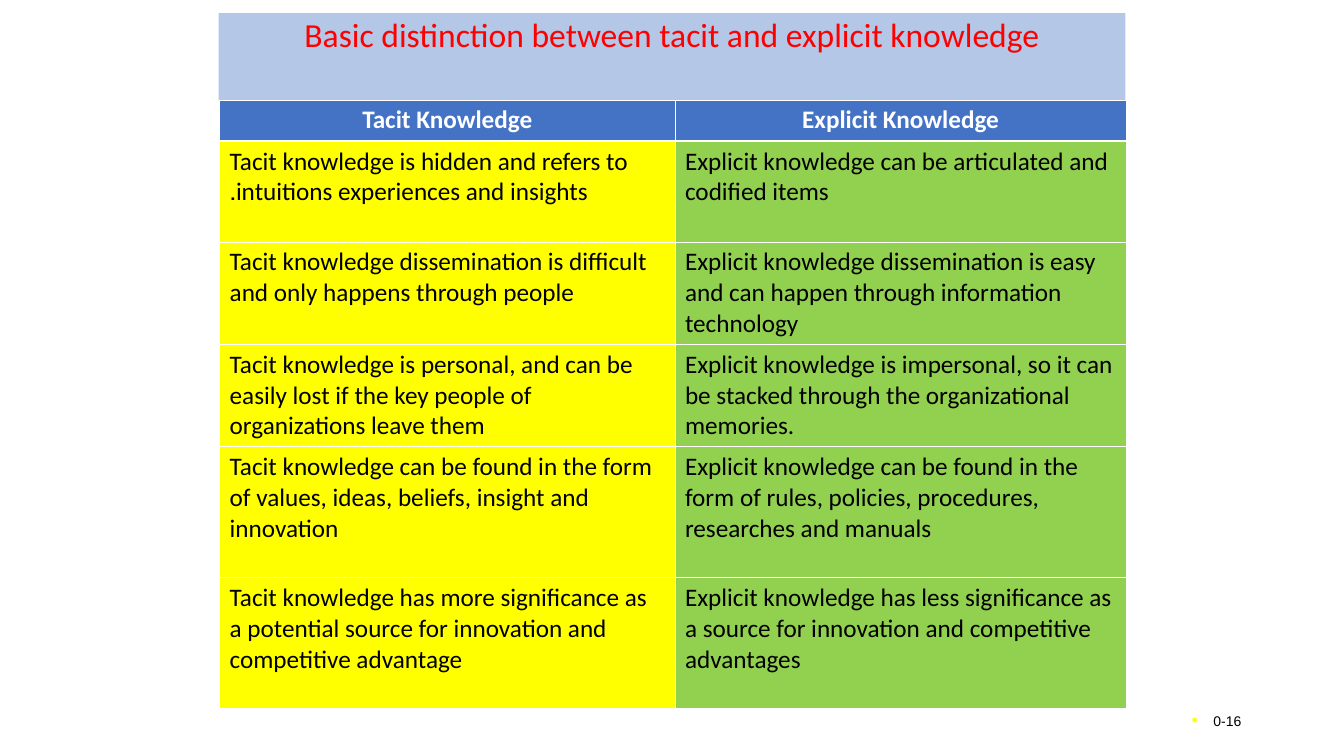
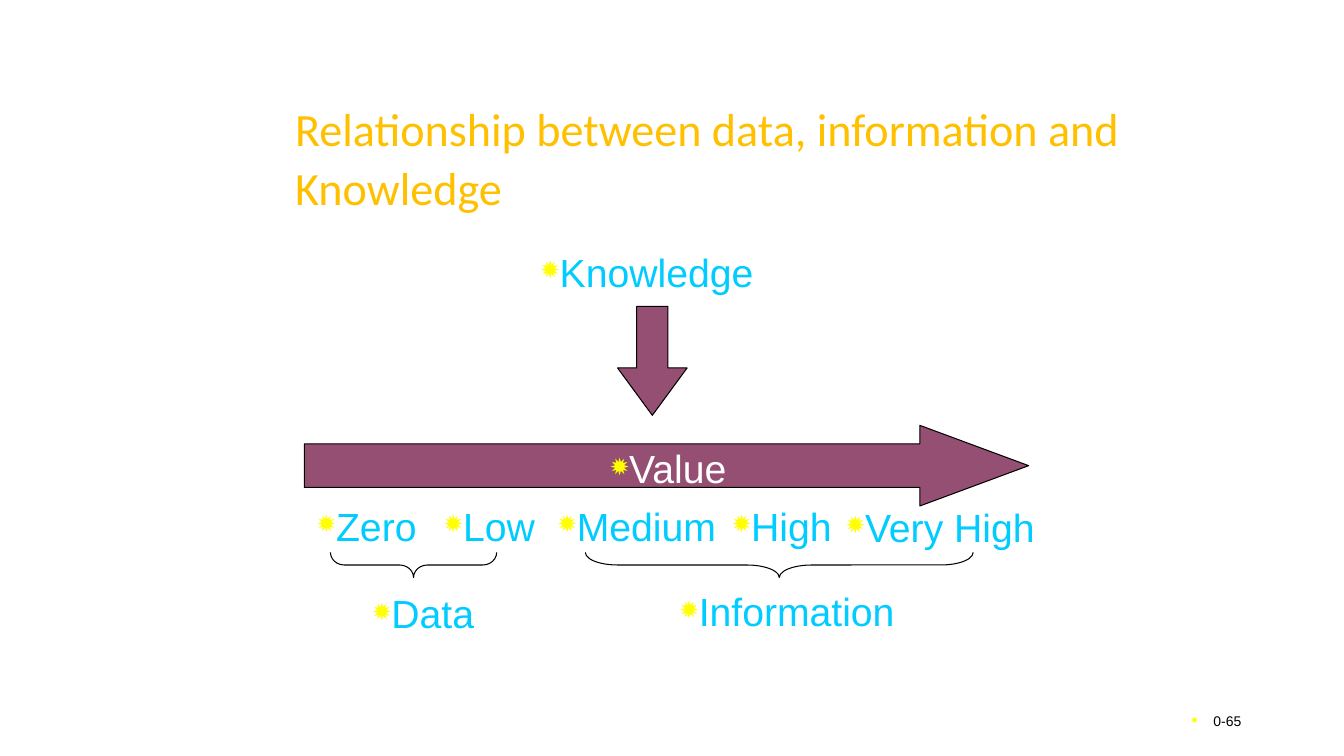
from lxml.etree import SubElement
from pptx import Presentation
from pptx.dml.color import RGBColor
from pptx.enum.shapes import MSO_SHAPE
from pptx.enum.text import MSO_ANCHOR, MSO_AUTO_SIZE, PP_ALIGN
from pptx.oxml.ns import qn
from pptx.util import Emu, Pt

EMU_PER_PX = 9144
COLORS = {
    "black": "000000", "white": "FFFFFF", "red": "FF0000", "gold": "FFC000",
    "band": "B4C7E7", "header": "4472C4", "tacit": "FFFF00", "explicit": "92D050",
    "bullet": "FFFF00", "label": "00CCFF", "arrow": "954F72",
}
FONTS = {
    "band title": {"name": "Calibri", "size": Pt(24), "color": "red"},
    "plain title": {"name": "Calibri", "size": Pt(33), "color": "gold"},
    "header": {"name": "Calibri", "size": Pt(18), "bold": True, "color": "white"},
    "cell": {"name": "Calibri", "size": Pt(18), "bold": False, "color": "black"},
    "footer": {"name": "Arial", "size": Pt(10), "color": "black"},
    "label": {"name": "Arial", "size": Pt(28), "color": "label"},
    "value": {"name": "Arial", "size": Pt(28), "color": "white"},
}
THIN_BORDER, HEADER_BORDER = 0.45, 1.47

KNOWLEDGE_TYPES = ("Tacit Knowledge", "Explicit Knowledge")
DISTINCTIONS = (
    ("Tacit knowledge is hidden and refers to intuitions experiences and insights.",
     "Explicit knowledge can be articulated and codified items"),
    ("Tacit knowledge dissemination is difficult and only happens through people",
     "Explicit knowledge dissemination is easy and can happen through information technology"),
    ("Tacit knowledge is personal, and can be easily lost if the key people of organizations leave them",
     "Explicit knowledge is impersonal, so it can be stacked through the organizational memories."),
    ("Tacit knowledge can be found in the form of values, ideas, beliefs, insight and innovation",
     "Explicit knowledge can be found in the form of rules, policies, procedures, researches and manuals"),
    ("Tacit knowledge has more significance as a potential source for innovation and competitive advantage",
     "Explicit knowledge has less significance as a source for innovation and competitive advantages"),
)
DIAGRAM_LABELS = (
    ("Knowledge", "label", (527, 241, 240, 57)),
    ("Value", "value", (596, 436, 147, 57)),
    ("Zero", "label", (305, 493, 128, 57)),
    ("Low", "label", (431, 493, 119, 57)),
    ("Medium", "label", (544, 493, 186, 57)),
    ("High", "label", (717, 493, 128, 57)),
    ("Very High", "label", (830, 494, 218, 57)),
    ("Data", "label", (360, 580, 130, 57)),
    ("Information", "label", (665, 578, 242, 57)),
)


def px(length):
    return Emu(length * EMU_PER_PX)


def rgb(color):
    return RGBColor.from_string(COLORS[color])


class Deck:
    def __init__(self, width, height):
        self.presentation = Presentation()
        self.presentation.slide_width = px(width)
        self.presentation.slide_height = px(height)
        self.slide = None

    def new_slide(self, page):
        self.slide = self.presentation.slides.add_slide(self.presentation.slide_layouts[5])
        self.bulleted(page, "footer", (942, 695, 300, 40), PP_ALIGN.RIGHT, hanging=22)

    def set_text(self, paragraph, text, style, align=PP_ALIGN.LEFT):
        paragraph.text = text
        paragraph.alignment = align
        for attribute, setting in FONTS[style].items():
            if attribute == "color":
                paragraph.font.color.rgb = rgb(setting)
            else:
                setattr(paragraph.font, attribute, setting)

    def title(self, text, style, box, align, anchor, spacing, band=None):
        title = self.slide.shapes.title
        title.left, title.top, title.width, title.height = map(px, box)
        frame = title.text_frame
        frame.auto_size = MSO_AUTO_SIZE.NONE
        frame.vertical_anchor = anchor
        self.set_text(frame.paragraphs[0], text, style, align)
        frame.paragraphs[0].line_spacing = spacing
        if band:
            title.fill.solid()
            title.fill.fore_color.rgb = rgb(band)

    def bulleted(self, text, style, box, align=PP_ALIGN.LEFT, hanging=0):
        frame = self.slide.shapes.add_textbox(*map(px, box)).text_frame
        frame.word_wrap = hanging > 0
        frame.auto_size = MSO_AUTO_SIZE.NONE if hanging else MSO_AUTO_SIZE.SHAPE_TO_FIT_TEXT
        frame.vertical_anchor = MSO_ANCHOR.MIDDLE if hanging else MSO_ANCHOR.TOP
        paragraph = frame.paragraphs[0]
        properties = paragraph._p.get_or_add_pPr()
        properties.set("marL", str(px(hanging)))
        properties.set("indent", str(-px(hanging)))
        bullet_color = SubElement(properties, qn("a:buClr"))
        SubElement(bullet_color, qn("a:srgbClr"), val=COLORS["bullet"])
        SubElement(properties, qn("a:buSzPct"), val="80000")
        SubElement(properties, qn("a:buChar"), char="✹")
        self.set_text(paragraph, text, style, align)

    def shape(self, kind, box, adjustments, fill=None, rotation=0):
        shape = self.slide.shapes.add_shape(kind, *map(px, box))
        shape.shadow.inherit = False
        shape.rotation = rotation
        for index, adjustment in enumerate(adjustments):
            shape.adjustments[index] = adjustment
        if fill:
            shape.fill.solid()
            shape.fill.fore_color.rgb = rgb(fill)
        else:
            shape.fill.background()
        shape.line.color.rgb = rgb("black")
        shape.line.width = Pt(0.75)

    def cell(self, cell, text, style, fill, align, right_to_left, top, bottom):
        properties = cell._tc.get_or_add_tcPr()
        borders = {"lnL": THIN_BORDER, "lnR": THIN_BORDER, "lnT": top, "lnB": bottom}
        for side, width in borders.items():
            border = SubElement(properties, qn(f"a:{side}"), w=str(Pt(width)))
            color = SubElement(border, qn("a:solidFill"))
            SubElement(color, qn("a:srgbClr"), val=COLORS["white"])
        cell.fill.solid()
        cell.fill.fore_color.rgb = rgb(fill)
        paragraph = cell.text_frame.paragraphs[0]
        self.set_text(paragraph, text, style, align)
        if right_to_left:
            paragraph._p.get_or_add_pPr().set("rtl", "1")

    def table(self, headers, rows, left, top, widths, heights):
        box = left, top, sum(widths), sum(heights)
        table = self.slide.shapes.add_table(len(heights), len(widths), *map(px, box)).table
        for column, width in zip(table.columns, widths):
            column.width = px(width)
        for row, height in zip(table.rows, heights):
            row.height = px(height)
        for column, text in enumerate(headers):
            self.cell(table.cell(0, column), text, "header", "header",
                      PP_ALIGN.CENTER, True, THIN_BORDER, HEADER_BORDER)
        for number, texts in enumerate(rows, 1):
            upper = HEADER_BORDER if number == 1 else THIN_BORDER
            for column, (text, fill) in enumerate(zip(texts, ("tacit", "explicit"))):
                self.cell(table.cell(number, column), text, "cell", fill,
                          PP_ALIGN.LEFT, fill == "tacit", upper, THIN_BORDER)


def main():
    deck = Deck(1334, 750)

    deck.new_slide("0-16")
    deck.title("Basic distinction between tacit and explicit knowledge", "band title",
               (217, 13, 900, 87), PP_ALIGN.CENTER, MSO_ANCHOR.TOP, 0.9, band="band")
    deck.table(KNOWLEDGE_TYPES, DISTINCTIONS, 218, 99, (452, 448),
               (41, 100, 100, 100, 130, 130))

    deck.new_slide("0-65")
    deck.title("Relationship between data, information and Knowledge", "plain title",
               (283, 92, 850, 125), PP_ALIGN.LEFT, MSO_ANCHOR.MIDDLE, Pt(42))
    deck.shape(MSO_SHAPE.RIGHT_ARROW, (302, 422, 719, 80), (0.54, 1.35), "arrow")
    deck.shape(MSO_SHAPE.DOWN_ARROW, (613, 304, 69, 108), (0.45, 0.68), "arrow")
    for text, style, box in DIAGRAM_LABELS:
        deck.bulleted(text, style, box)
    for box, curve in (((398, 478, 25, 165), 0.55), ((761, 368, 25, 385), 1.28)):
        deck.shape(MSO_SHAPE.LEFT_BRACE, box, (curve, 0.5), rotation=270)

    deck.presentation.save("out.pptx")


if __name__ == "__main__":
    main()
